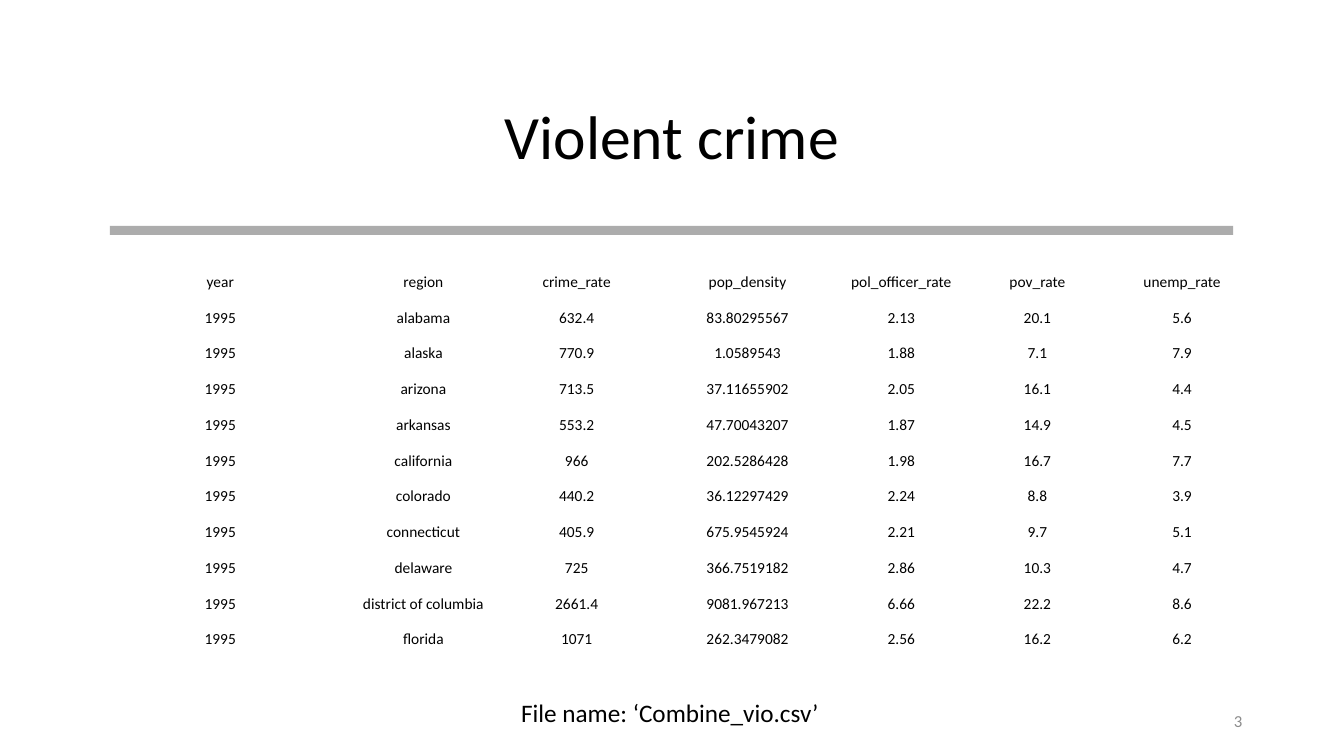
from dataclasses import dataclass

from lxml import etree
from pptx import Presentation
from pptx.dml.color import RGBColor
from pptx.enum.shapes import MSO_SHAPE
from pptx.enum.text import MSO_ANCHOR, MSO_AUTO_SIZE, PP_ALIGN
from pptx.oxml.ns import qn
from pptx.slide import Slide
from pptx.text.text import TextFrame
from pptx.util import Inches, Pt

RECT = MSO_SHAPE.RECTANGLE
MIDDLE, BOTTOM, TOP = MSO_ANCHOR.MIDDLE, MSO_ANCHOR.BOTTOM, MSO_ANCHOR.TOP
LEFT, CENTER, RIGHT = PP_ALIGN.LEFT, PP_ALIGN.CENTER, PP_ALIGN.RIGHT
FIT = MSO_AUTO_SIZE.SHAPE_TO_FIT_TEXT

BLACK = RGBColor(0x00, 0x00, 0x00)
GRAY = RGBColor(0x80, 0x80, 0x80)
PALE = RGBColor(0x8C, 0x8C, 0x8C)
FONT = "Calibri"
TITLE_ONLY = 5


@dataclass
class Column:
    name: str
    width: float
    values: list[str]


@dataclass
class Label:
    text: str
    box: tuple[float, float, float, float]
    size: int
    color: RGBColor
    align: PP_ALIGN
    anchor: MSO_ANCHOR
    wrap: bool


COLUMNS = [
    Column("year", 2.47, ["1995"] * 10),
    Column("region", 1.56, ["alabama", "alaska", "arizona", "arkansas", "california", "colorado",
                            "connecticut", "delaware", "district of columbia", "florida"]),
    Column("crime_rate", 1.48, ["632.4", "770.9", "713.5", "553.2", "966",
                                "440.2", "405.9", "725", "2661.4", "1071"]),
    Column("pop_density", 1.91, ["83.80295567", "1.0589543", "37.11655902", "47.70043207",
                                 "202.5286428", "36.12297429", "675.9545924", "366.7519182",
                                 "9081.967213", "262.3479082"]),
    Column("pol_officer_rate", 1.14, ["2.13", "1.88", "2.05", "1.87", "1.98",
                                      "2.24", "2.21", "2.86", "6.66", "2.56"]),
    Column("pov_rate", 1.56, ["20.1", "7.1", "16.1", "14.9", "16.7",
                              "8.8", "9.7", "10.3", "22.2", "16.2"]),
    Column("unemp_rate", 1.31, ["5.6", "7.9", "4.4", "4.5", "7.7",
                                "3.9", "5.1", "4.7", "8.6", "6.2"]),
]
LABELS = [
    Label("File name: ‘Combine_vio.csv’", (5.07, 6.87, 3.19, 0.4), 18, BLACK, LEFT, TOP, False),
    Label("3", (9.42, 6.95, 3, 0.4), 12, PALE, RIGHT, MIDDLE, True),
]


def set_text(frame: TextFrame, text: str, size: int, color: RGBColor, align: PP_ALIGN) -> None:
    frame.text = text
    line = frame.paragraphs[0]
    line.alignment = align
    font = line.runs[0].font
    font.name, font.size, font.color.rgb = FONT, Pt(size), color


def add_title(slide: Slide) -> None:
    title = slide.shapes.title
    title.left, title.top = Inches(0.95), Inches(0.66)
    title.width, title.height = Inches(11.43), Inches(1.45)
    frame = title.text_frame
    frame.vertical_anchor = MIDDLE
    set_text(frame, "Violent crime", 44, BLACK, CENTER)
    frame.paragraphs[0].line_spacing = 0.9


def add_bar(slide: Slide) -> None:
    bar = slide.shapes.add_shape(RECT, Inches(1.09), Inches(2.24), Inches(11.14), Inches(0.09))
    bar.shadow.inherit = False
    bar.line.fill.background()
    bar.fill.solid()
    bar.fill.fore_color.rgb = GRAY
    tint = bar.fill._xPr.find(f".//{qn('a:srgbClr')}")
    etree.SubElement(tint, qn("a:alpha"), val="65000")


def add_grid(slide: Slide, columns: list[Column]) -> None:
    rows = len(columns[0].values) + 1
    table = slide.shapes.add_table(rows, len(columns), Inches(0.95), Inches(2.54),
                                   Inches(11.43), Inches(3.9)).table
    table.first_row = table.horz_banding = False
    for x, column in enumerate(columns):
        table.columns[x].width = Inches(column.width)
        for y, text in enumerate([column.name, *column.values]):
            cell = table.cell(y, x)
            cell.fill.background()
            cell.vertical_anchor = BOTTOM
            cell.margin_left = cell.margin_right = cell.margin_top = Inches(0.01)
            cell.margin_bottom = 0
            set_text(cell.text_frame, text, 11, BLACK, CENTER)


def add_label(slide: Slide, label: Label) -> None:
    frame = slide.shapes.add_textbox(*map(Inches, label.box)).text_frame
    frame.word_wrap = label.wrap
    frame.vertical_anchor = label.anchor
    if not label.wrap:
        frame.auto_size = FIT
    set_text(frame, label.text, label.size, label.color, label.align)


def main() -> None:
    deck = Presentation()
    deck.slide_width, deck.slide_height = Inches(13.33), Inches(7.5)
    slide = deck.slides.add_slide(deck.slide_layouts[TITLE_ONLY])

    # Heading
    add_title(slide)
    add_bar(slide)

    # Crime data
    add_grid(slide, COLUMNS)

    # File name and page number
    for label in LABELS:
        add_label(slide, label)

    deck.save("out.pptx")


if __name__ == "__main__":
    main()
